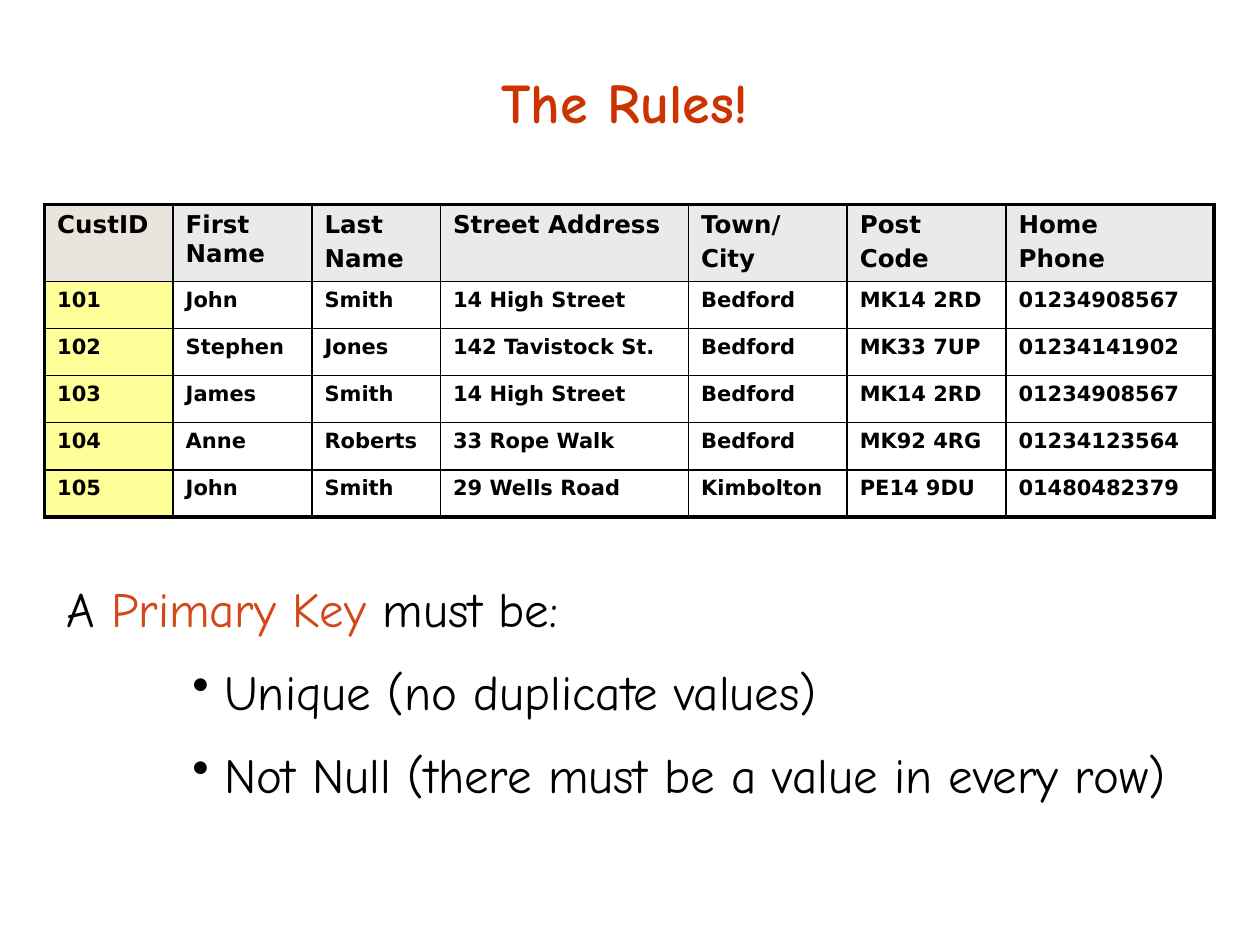
import pptx
import pptx.dml.color
import pptx.enum.text
import pptx.oxml
import pptx.oxml.ns
import pptx.util
from pptx.dml.color import RGBColor
from pptx.util import Cm, Pt

# Content
TITLE = "The Rules!"
HEADERS = ["CustID", "First Name", "Last\nName", "Street Address",
           "Town/\nCity", "Post\nCode", "Home\nPhone"]
CUSTOMERS = [
    ("101", "John", "Smith", "14 High Street", "Bedford", "MK14 2RD", "01234908567"),
    ("102", "Stephen", "Jones", "142 Tavistock St.", "Bedford", "MK33 7UP", "01234141902"),
    ("103", "James", "Smith", "14 High Street", "Bedford", "MK14 2RD", "01234908567"),
    ("104", "Anne", "Roberts", "33 Rope Walk", "Bedford", "MK92 4RG", "01234123564"),
    ("105", "John", "Smith", "29 Wells Road", "Kimbolton", "PE14 9DU", "01480482379"),
]
KEY_INTRO = [("A ", False), ("Primary Key", True), (" must be:", False)]
KEY_RULES = ["Unique (no duplicate values)",
             "Not Null (there must be a value in every row)"]

# Style
HEADING_FONT, TABLE_FONT = "Comic Neue", "DejaVu Sans"
BLACK = RGBColor(0x00, 0x00, 0x00)
WHITE = RGBColor(0xFF, 0xFF, 0xFF)
TITLE_RED = RGBColor(0xCC, 0x33, 0x00)
KEY_ORANGE = RGBColor(0xD3, 0x48, 0x17)
KEY_HEADER_FILL = RGBColor(0xE9, 0xE5, 0xDC)
HEADER_FILL = RGBColor(0xEA, 0xEA, 0xEA)
KEY_FILL = RGBColor(0xFF, 0xFF, 0x99)
COLUMN_WIDTHS = [2.59, 2.8, 2.59, 5, 3.2, 3.2, 4.19]
HEADER_HEIGHT, ROW_HEIGHT = 1.55, 0.95
INNER_LINE, OUTER_LINE = Pt(1), Pt(2.25)


def set_font(font, name, size, color, bold=False):
    font.name, font.size, font.bold = name, Pt(size), bold
    font.color.rgb = color


def set_borders(cell, outer_sides):
    properties = cell._tc.get_or_add_tcPr()
    for side in "LRTB":
        width = OUTER_LINE if side in outer_sides else INNER_LINE
        properties.append(pptx.oxml.parse_xml(
            f'<a:ln{side} {pptx.oxml.ns.nsdecls("a")} w="{width}">'
            f'<a:solidFill><a:srgbClr val="{BLACK}"/></a:solidFill></a:ln{side}>'))


def add_bullet(paragraph):
    properties = paragraph._p.get_or_add_pPr()
    properties.set("marL", str(Cm(3.18)))
    properties.set("indent", str(-Cm(0.64)))
    properties.append(pptx.oxml.parse_xml(
        f'<a:buChar {pptx.oxml.ns.nsdecls("a")} char="•"/>'))


presentation = pptx.Presentation()
presentation.slide_width, presentation.slide_height = Cm(25.4), Cm(19.05)
slide = presentation.slides.add_slide(presentation.slide_layouts[5])

# Title
title = slide.shapes.title
title.left, title.top, title.width, title.height = Cm(0.5), Cm(0.76), Cm(24.2), Cm(2.57)
title.text_frame.text = TITLE
title.text_frame.vertical_anchor = pptx.enum.text.MSO_ANCHOR.MIDDLE
title_paragraph = title.text_frame.paragraphs[0]
title_paragraph.alignment = pptx.enum.text.PP_ALIGN.CENTER
set_font(title_paragraph.font, HEADING_FONT, 32, TITLE_RED, bold=True)

# Customer table
rows = [HEADERS] + CUSTOMERS
row_heights = [HEADER_HEIGHT] + [ROW_HEIGHT] * len(CUSTOMERS)
table = slide.shapes.add_table(
    len(rows), len(HEADERS), Cm(0.9), Cm(4.12),
    Cm(sum(COLUMN_WIDTHS)), Cm(sum(row_heights))).table
table.first_row = table.horz_banding = False
for column, width in zip(table.columns, COLUMN_WIDTHS):
    column.width = Cm(width)
for row, height in zip(table.rows, row_heights):
    row.height = Cm(height)

last_row, last_column = len(rows) - 1, len(HEADERS) - 1
for r, values in enumerate(rows):
    fills = (KEY_HEADER_FILL, HEADER_FILL) if r == 0 else (KEY_FILL, WHITE)
    size = 14 if r == 0 else 12
    for c, value in enumerate(values):
        cell = table.cell(r, c)
        cell.text = value
        for i, paragraph in enumerate(cell.text_frame.paragraphs):
            if i:
                paragraph.space_before = Pt(0.2 * size)
            set_font(paragraph.font, TABLE_FONT, size, BLACK, bold=True)
        edges = {"L": c == 0, "R": c == last_column, "T": r == 0, "B": r == last_row}
        set_borders(cell, [side for side, is_outer in edges.items() if is_outer])
        cell.fill.solid()
        cell.fill.fore_color.rgb = fills[min(c, 1)]

# Primary key rules
rules_box = slide.shapes.add_textbox(Cm(1.09), Cm(11.53), Cm(23.22), Cm(6.2))
text_frame = rules_box.text_frame
text_frame.word_wrap = True
intro = text_frame.paragraphs[0]
for text, is_key in KEY_INTRO:
    run = intro.add_run()
    run.text = text
    set_font(run.font, HEADING_FONT, 28, KEY_ORANGE if is_key else BLACK)
for rule in KEY_RULES:
    paragraph = text_frame.add_paragraph()
    paragraph.text = rule
    paragraph.level = 2
    paragraph.space_before = Pt(14)
    add_bullet(paragraph)
    set_font(paragraph.font, HEADING_FONT, 28, BLACK)

presentation.save("out.pptx")
